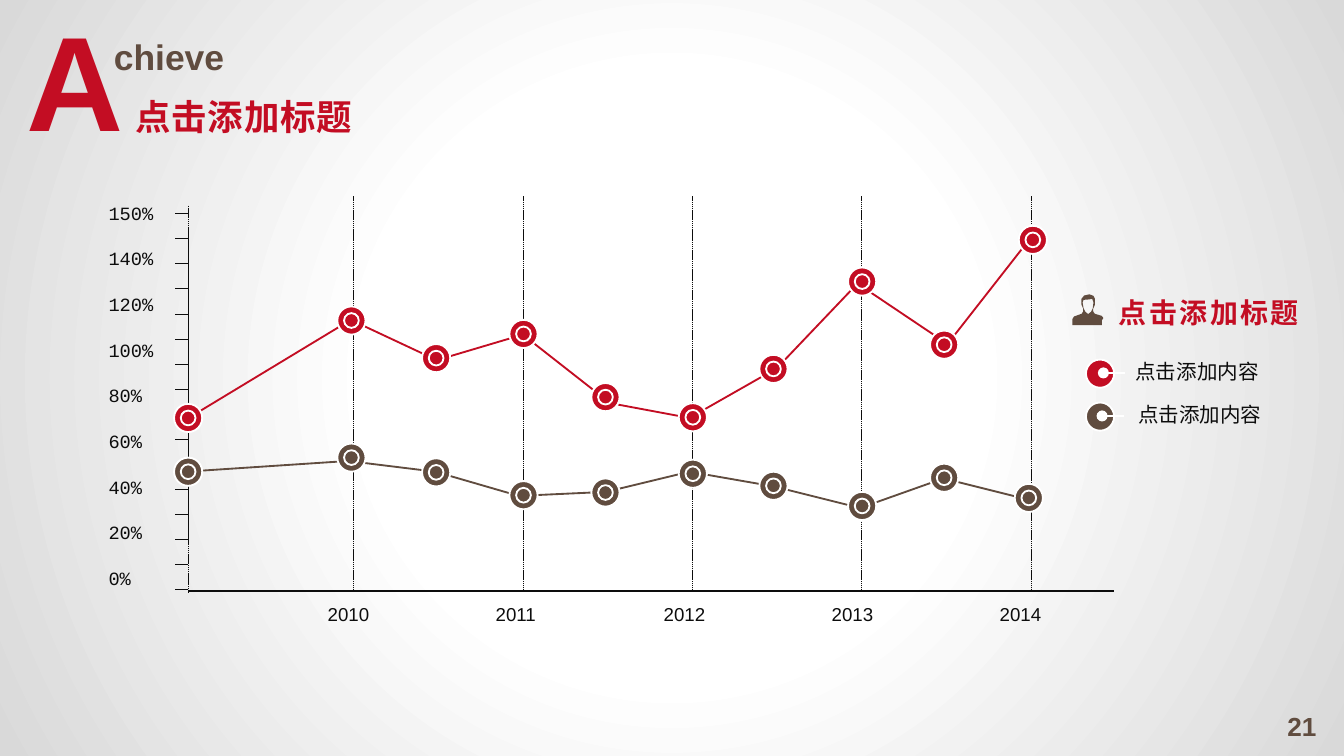
import dataclasses

import pptx
import pptx.dml.color
import pptx.enum.dml
import pptx.enum.shapes
import pptx.enum.text
import pptx.oxml
import pptx.oxml.ns
import pptx.util

COLUMNS, ROWS = 100, 56.25
CELL = pptx.util.Inches(0.1)
RED, BROWN, INK, WHITE = "C30D23", "604C3F", "0D0D0D", "FFFFFF"
LATIN, MONO, CHINESE = "Arial", "Courier New", "Noto Sans CJK SC"
CENTER = pptx.enum.text.PP_ALIGN.CENTER
JUSTIFY = pptx.enum.text.PP_ALIGN.JUSTIFY
DASH = pptx.enum.dml.MSO_LINE.SQUARE_DOT
QN = pptx.oxml.ns.qn

MARKER_COLUMNS = [7, 19.15, 25.45, 31.95, 38.05, 44.55, 50.55, 57.15, 63.25]
SERIES = [
    {
        "color": RED,
        "marker_columns": MARKER_COLUMNS + [69.85],
        "marker_rows": [16.6, 9.35, 12.15, 10.35, 15.05, 16.55, 12.95, 6.45, 11.15, 3.35],
        "line_columns": [6.7, 19.1, 25.5, 31.9, 38.4, 44.3, 50.8, 56.8, 63.5, 69.6],
        "line_rows": [16.8, 9.3, 12.3, 10.4, 15.5, 16.6, 12.9, 6.6, 11.1, 3.3],
    },
    {
        "color": BROWN,
        "marker_columns": MARKER_COLUMNS + [69.55],
        "marker_rows": [20.6, 19.55, 20.65, 22.35, 22.15, 20.75, 21.65, 23.15, 21.05, 22.55],
        "line_columns": [6.8, 18.9, 25.4, 31.6, 38.1, 44.3, 50.6, 57, 63.2, 69.2],
        "line_rows": [20.6, 19.8, 20.6, 22.4, 22.1, 20.6, 21.7, 23.3, 21.1, 22.6],
    },
]
PERCENTS = [150, 140, 120, 100, 80, 60, 40, 20, 0]
YEARS = range(2010, 2015)

PERSON_OUTLINE = [
    (0, 1), (0, 0.8), (0.05, 0.72), (0.3, 0.63), (0.35, 0.55), (0.35, 0.47), (0.29, 0.33),
    (0.29, 0.15), (0.38, 0.04), (0.55, 0), (0.68, 0.05), (0.73, 0.15), (0.73, 0.33),
    (0.67, 0.47), (0.67, 0.55), (0.72, 0.63), (0.95, 0.7), (1, 0.77), (0.95, 0.85), (0.95, 1),
]
PERSON_FACE = [
    (0.36, 0.18), (0.5, 0.17), (0.64, 0.15), (0.68, 0.25), (0.66, 0.45), (0.6, 0.57),
    (0.51, 0.64), (0.42, 0.57), (0.36, 0.45), (0.33, 0.27),
]


@dataclasses.dataclass
class Box:
    left: float
    top: float
    width: float
    height: float

    def inner(self, left, top, width, height):
        return Box(self.left + left, self.top + top, width, height)

    def point(self, column, row):
        return cells(self.left + column), cells(self.top + row)

    def frame(self):
        return [cells(length) for length in (self.left, self.top, self.width, self.height)]


def cells(count):
    return pptx.util.Emu(round(count * CELL))


def rgb(color):
    return pptx.dml.color.RGBColor.from_string(color)


def add_element(parent, tag, **attributes):
    element = pptx.oxml.parse_xml(f"<{tag} {pptx.oxml.ns.nsdecls('a')}/>")
    for name, setting in attributes.items():
        element.set(name, str(setting))
    parent.append(element)
    return element


def write(shape, words, size, font, color, bold=False, align=None, wrap=False, spacing=0):
    text = shape.text_frame
    text.text = words
    text.word_wrap = wrap
    text.auto_size = pptx.enum.text.MSO_AUTO_SIZE.SHAPE_TO_FIT_TEXT
    text.vertical_anchor = pptx.enum.text.MSO_ANCHOR.TOP
    para = text.paragraphs[0]
    para.alignment = align
    para.font.size = pptx.util.Pt(size)
    para.font.bold = bold
    para.font.color.rgb = rgb(color)
    para.font.name = font
    defaults = para._p.pPr.find(QN("a:defRPr"))
    add_element(defaults, "a:ea", typeface=font)
    if spacing:
        defaults.set("spc", str(round(spacing * 100)))


def add_label(page, box, words, size, font, color, **style):
    write(page.shapes.add_textbox(*box.frame()), words, size, font, color, **style)


def add_line(page, start, end, color, width, dash=None, head=None):
    line = page.shapes.add_connector(pptx.enum.shapes.MSO_CONNECTOR.STRAIGHT, *start, *end)
    line.line.color.rgb = rgb(color)
    line.line.width = pptx.util.Pt(width)
    if dash:
        line.line.dash_style = dash
    properties = line._element.spPr
    if head:
        add_element(properties.find(QN("a:ln")), "a:headEnd", type=head)
    add_element(properties, "a:effectLst")


def add_disc(page, center, size, color):
    left, top = (cells(place - size / 2) for place in center)
    disc = page.shapes.add_shape(
        pptx.enum.shapes.MSO_SHAPE.OVAL, left, top, cells(size), cells(size))
    disc.shadow.inherit = False
    disc.fill.solid()
    disc.fill.fore_color.rgb = rgb(color)
    disc.line.color.rgb = rgb(WHITE)
    disc.line.width = pptx.util.Pt(1)


def paint_background(page):
    fill = page.background.fill
    fill.gradient()
    for stop, position, color in zip(fill.gradient_stops, (0.39, 1), (WHITE, "D9D9D9")):
        stop.position = position
        stop.color.rgb = rgb(color)
    gradient = page._element.find(".//" + QN("a:gradFill"))
    gradient.remove(gradient.find(QN("a:lin")))
    circle = add_element(gradient, "a:path", path="circle")
    add_element(circle, "a:fillToRect", l=50000, t=50000, r=50000, b=50000)


def place_heading(page, box):
    add_label(page, box.inner(0, 0, 9.3, 13.1), "A", 72, LATIN, RED, bold=True)
    add_label(page, box.inner(6.5, 2.8, 10.3, 4.2), "chieve", 19, LATIN, BROWN, bold=True)
    title = page.shapes.title
    title.left, title.top, title.width, title.height = box.inner(7.9, 7.3, 18.5, 4.2).frame()
    write(title, "点击添加标题", 19, CHINESE, RED, bold=True, align=CENTER, spacing=0.5)


def place_axes(page, box):
    axis, base = 7, 29.5
    for index, year in enumerate(YEARS):
        column = 19.3 + 12.6 * index
        add_line(page, box.point(column, 0.1), box.point(column, base), INK, 0.25, DASH)
        add_label(page, box.inner(16.4 + 12.5 * index, 29.9, 5.1, 2.7), str(year), 10, LATIN, INK)
    for index in range(16):
        row = 1.4 + 28 / 15 * index
        add_line(page, box.point(axis, row), box.point(axis - 1, row), INK, 0.5)
    for index, percent in enumerate(PERCENTS):
        words = f"{percent}%"
        width = 2.4 + 0.8 * len(words)
        add_label(page, box.inner(0.1, 3.4 * index, width, 2.7), words, 10, MONO, INK)
    for top, bottom in ((3.3, 29.6), (0.8, 25.9)):
        add_line(page, box.point(axis, top), box.point(axis, bottom), INK, 0.25, DASH)
    add_line(page, box.point(axis, base), box.point(box.width, base), INK, 1)


def place_series(page, box, series):
    points = [box.point(*spot) for spot in zip(series["line_columns"], series["line_rows"])]
    builder = page.shapes.build_freeform(*points[0])
    builder.add_line_segments(points[1:], close=False)
    curve = builder.convert_to_shape()
    curve.shadow.inherit = False
    curve.fill.background()
    curve.line.color.rgb = rgb(series["color"])
    curve.line.width = pptx.util.Pt(1)
    for column, row in zip(series["marker_columns"], series["marker_rows"]):
        for size in (2.1, 1.1):
            add_disc(page, (box.left + column, box.top + row), size, series["color"])


def place_person(page, box):
    outline, face = (
        [box.point(x * box.width, y * box.height) for x, y in shares]
        for shares in (PERSON_OUTLINE, PERSON_FACE))
    builder = page.shapes.build_freeform(*outline[0])
    builder.add_line_segments(outline[1:])
    builder.move_to(*face[0])
    builder.add_line_segments(face[1:])
    person = builder.convert_to_shape()
    person.shadow.inherit = False
    person.fill.solid()
    person.fill.fore_color.rgb = rgb(BROWN)
    person.line.fill.background()


def place_legend(page, box):
    place_person(page, box.inner(0, 0.4, 2.3, 2.3))
    add_label(page, box.inner(2.2, 0, 15.9, 3.5), "点击添加标题", 15, CHINESE, RED,
              bold=True, align=CENTER, wrap=True, spacing=1.3)
    for index, color in enumerate((RED, BROWN)):
        row = 6.3 + 3.2 * index
        add_label(page, box.inner(3.7 + 0.2 * index, row - 1.6, 11.7, 2.9), "点击添加内容",
                  11, CHINESE, INK, align=JUSTIFY, wrap=True)
        add_disc(page, (box.left + 2.05, box.top + row), 2.1, color)
        start = 2.3 - 0.1 * index
        add_line(page, box.point(start, row - 0.05), box.point(start + 1.6, row - 0.05),
                 WHITE, 1.5, head="oval")


def build_slide(deck):
    page = deck.slides.add_slide(deck.slide_layouts[5])
    paint_background(page)
    place_heading(page, Box(1, -0.7, 26.4, 13.1))
    chart = Box(7, 14.5, 75.9, 32.6)
    place_axes(page, chart)
    for series in SERIES:
        place_series(page, chart, series)
    place_legend(page, Box(79.8, 21.5, 18.1, 11))
    add_label(page, Box(94.8, 52.4, 4.2, 3.4), "21", 14, LATIN, BROWN, bold=True)


def main():
    deck = pptx.Presentation()
    deck.slide_width, deck.slide_height = cells(COLUMNS), cells(ROWS)
    build_slide(deck)
    deck.save("out.pptx")


if __name__ == "__main__":
    main()
